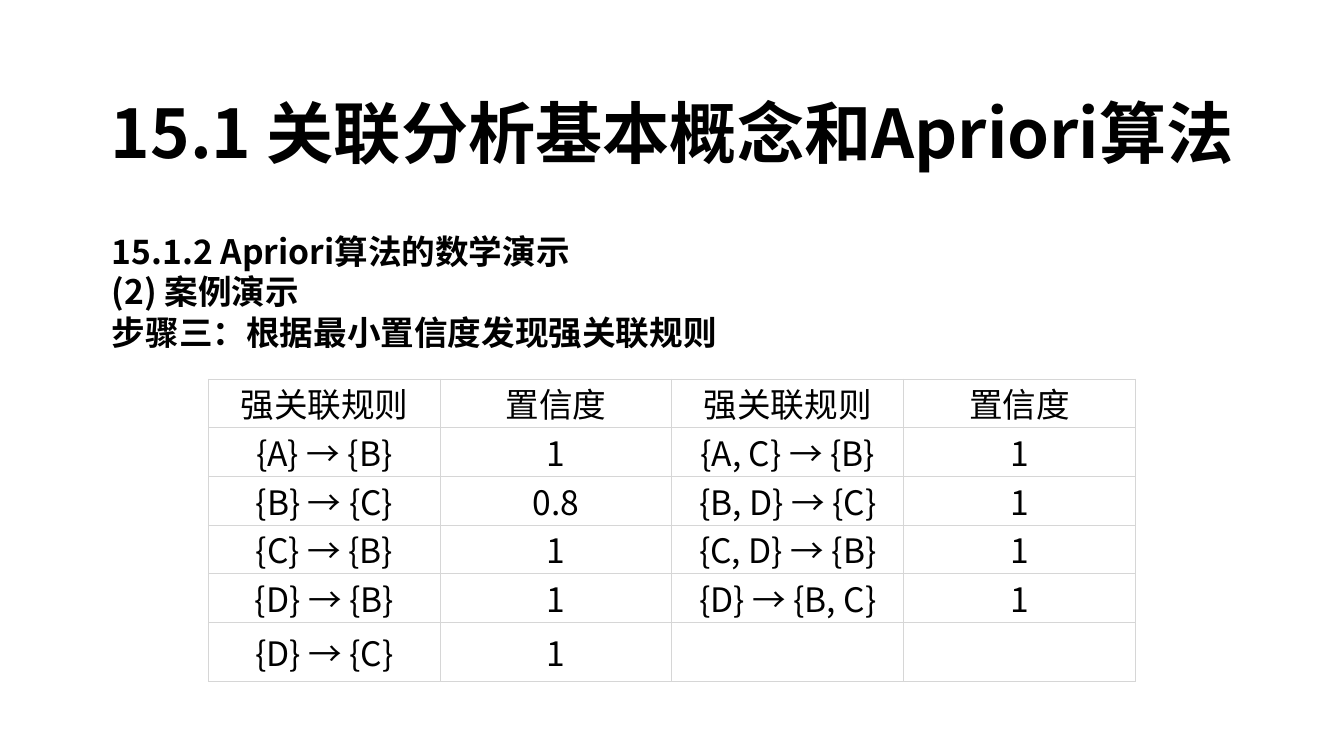
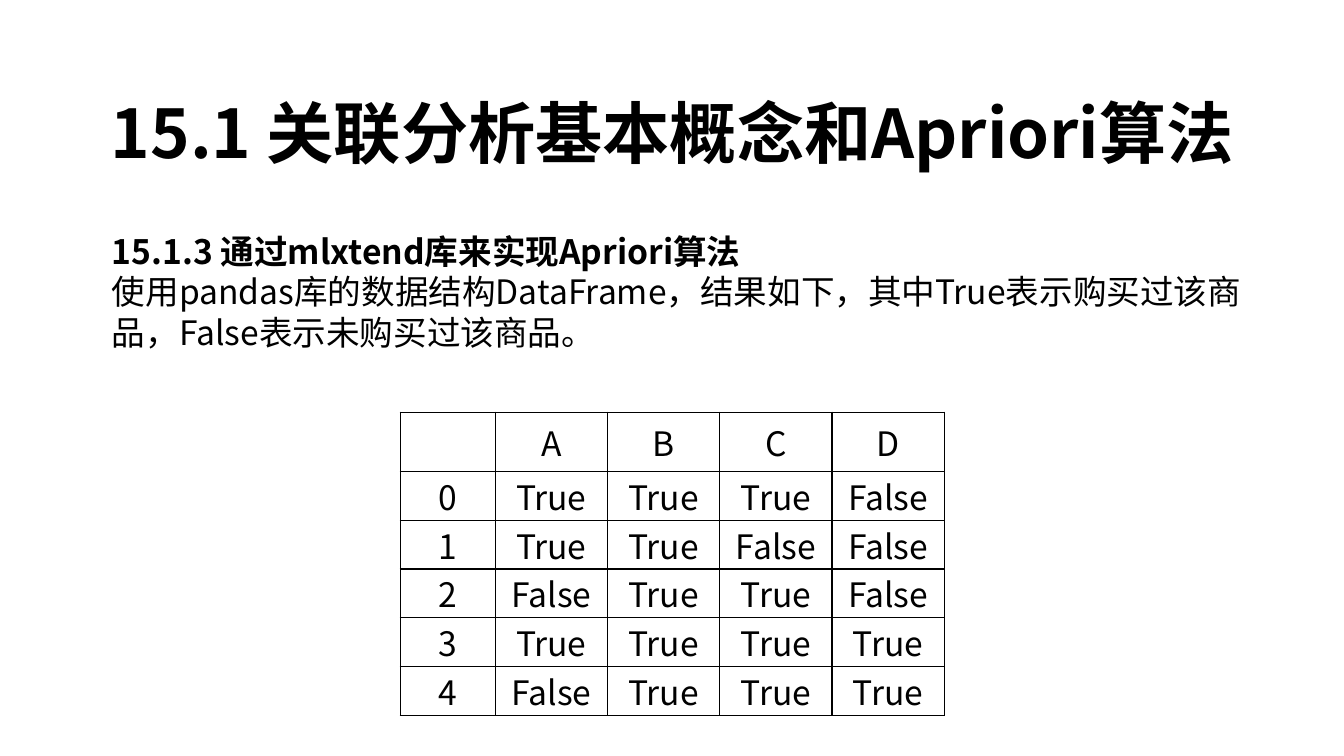
import dataclasses

import pptx
import pptx.dml.color
import pptx.enum.text
import pptx.oxml
import pptx.oxml.ns
import pptx.util

Pt = pptx.util.Pt
ALIGN = pptx.enum.text.PP_ALIGN
ANCHOR = pptx.enum.text.MSO_ANCHOR


@dataclasses.dataclass(frozen=True)
class Theme:
    font: str = "Noto Sans CJK SC"
    ink: str = "000000"
    paper: str = "FFFFFF"
    pale_rule: str = "D6D6D6"
    title_size: float = 48
    text_size: float = 24
    title_leading: float = 58
    text_leading: float = 29
    cell_leading: float = 27
    row_height: float = 34.8


class Lesson:
    def __init__(self, theme):
        self.theme = theme
        self.deck = pptx.Presentation()
        self.deck.slide_width = Pt(960)
        self.deck.slide_height = Pt(540)
        self.page = None

    def new_page(self, title):
        self.page = self.deck.slides.add_slide(self.deck.slide_layouts[1])
        box = self.page.shapes.title
        frame = self.place(box, 54, 57.6, 852.5, 65.5, 7.3)
        frame.text = title
        self.style(frame.paragraphs[0], self.theme.title_size,
                   self.theme.title_leading, True, ALIGN.CENTER)

    def place(self, box, left, top, width, height, inset_top):
        box.left, box.top, box.width, box.height = map(Pt, (left, top, width, height))
        frame = box.text_frame
        frame.word_wrap = True
        frame.auto_size = pptx.enum.text.MSO_AUTO_SIZE.NONE
        frame.vertical_anchor = ANCHOR.TOP
        frame.margin_left = frame.margin_right = Pt(7.2)
        frame.margin_top, frame.margin_bottom = Pt(inset_top), Pt(0)
        return frame

    def style(self, para, size, leading, bold=False, align=ALIGN.LEFT):
        para.alignment = align
        para.line_spacing = Pt(leading)
        para.space_before = para.space_after = Pt(0)
        font = para.font
        font.name, font.size, font.bold = self.theme.font, Pt(size), bold
        font.color.rgb = pptx.dml.color.RGBColor.from_string(self.theme.ink)
        properties = para._p.get_or_add_pPr()
        latin = properties.find(".//" + pptx.oxml.ns.qn("a:latin"))
        latin.addnext(self.element(f'<a:ea {{ns}} typeface="{self.theme.font}"/>'))
        return properties

    def element(self, markup):
        return pptx.oxml.parse_xml(markup.format(ns=pptx.oxml.ns.nsdecls("a")))

    def body(self, height, headings, text=()):
        box = self.page.placeholders[1]
        frame = self.place(box, 72.7, 159.1, 833, height, 5.5)
        lines = [*headings, *text]
        frame.text = "\n".join(lines)
        for index, para in enumerate(frame.paragraphs):
            properties = self.style(para, self.theme.text_size,
                                    self.theme.text_leading, index < len(headings))
            properties.set("marL", "0")
            properties.set("indent", "0")
            defaults = properties.find(pptx.oxml.ns.qn("a:defRPr"))
            defaults.addprevious(self.element("<a:buNone {ns}/>"))

    def table(self, left, top, widths, rows, rule, rule_width, fill=None):
        height = self.theme.row_height
        table = self.page.shapes.add_table(
            len(rows), len(widths), Pt(left), Pt(top),
            Pt(sum(widths)), Pt(height * len(rows))).table
        table.first_row = table.horz_banding = False
        for column, width in zip(table.columns, widths):
            column.width = Pt(width)
        for row, values in zip(table.rows, rows):
            row.height = Pt(height)
            for cell, value in zip(row.cells, values):
                self.cell(cell, value, fill)
                self.borders(cell, rule, rule_width)

    def cell(self, cell, value, fill):
        cell.text = value
        cell.vertical_anchor = ANCHOR.MIDDLE
        cell.margin_left = cell.margin_right = cell.margin_bottom = Pt(0)
        cell.margin_top = Pt(7.6)
        self.style(cell.text_frame.paragraphs[0], self.theme.text_size,
                   self.theme.cell_leading, align=ALIGN.CENTER)
        if fill:
            cell.fill.solid()
            cell.fill.fore_color.rgb = pptx.dml.color.RGBColor.from_string(fill)
        else:
            cell.fill.background()

    def borders(self, cell, rule, rule_width):
        properties = cell._tc.get_or_add_tcPr()
        for index, side in enumerate("LRTB"):
            properties.insert(index, self.element(
                f'<a:ln{side} {{ns}} w="{int(Pt(rule_width))}"><a:solidFill>'
                f'<a:srgbClr val="{rule}"/></a:solidFill></a:ln{side}>'))


def main():
    theme = Theme()
    lesson = Lesson(theme)
    title = "15.1 关联分析基本概念和Apriori算法"

    lesson.new_page(title)
    lesson.body(123.8, ["15.1.2 Apriori算法的数学演示", "(2) 案例演示",
                        "步骤三：根据最小置信度发现强关联规则"])
    rules = [
        ("强关联规则", "置信度") * 2,
        ("{A} → {B}", "1", "{A, C} → {B}", "1"),
        ("{B} → {C}", "0.8", "{B, D} → {C}", "1"),
        ("{C} → {B}", "1", "{C, D} → {B}", "1"),
        ("{D} → {B}", "1", "{D} → {B, C}", "1"),
        ("{D} → {C}", "1", "", ""),
    ]
    lesson.table(149, 270.7, [165.5] * 4, rules, theme.pale_rule, 0.75, theme.paper)

    lesson.new_page(title)
    lesson.body(94.3, ["15.1.3 通过mlxtend库来实现Apriori算法"],
                ["使用pandas库的数据结构DataFrame，结果如下，其中True表示购买过该商品，"
                 "False表示未购买过该商品。"])
    goods = "ABCD"
    baskets = ["ABC", "AB", "BC", "ABCD", "BCD"]
    purchases = [("", *goods)] + [
        (str(index), *(str(item in basket) for item in goods))
        for index, basket in enumerate(baskets)]
    lesson.table(285.8, 294.5, [68] + [80.2] * 4, purchases, theme.ink, 1)

    lesson.deck.save("out.pptx")


if __name__ == "__main__":
    main()
